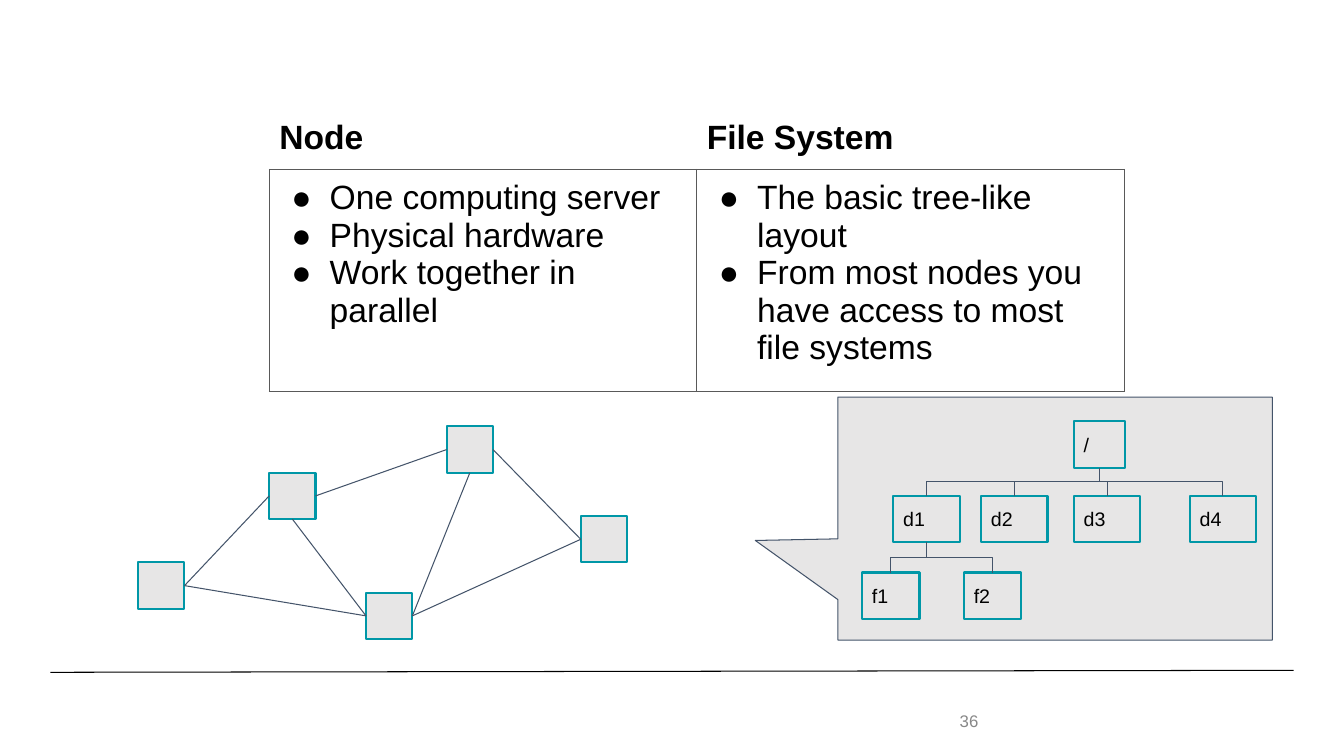
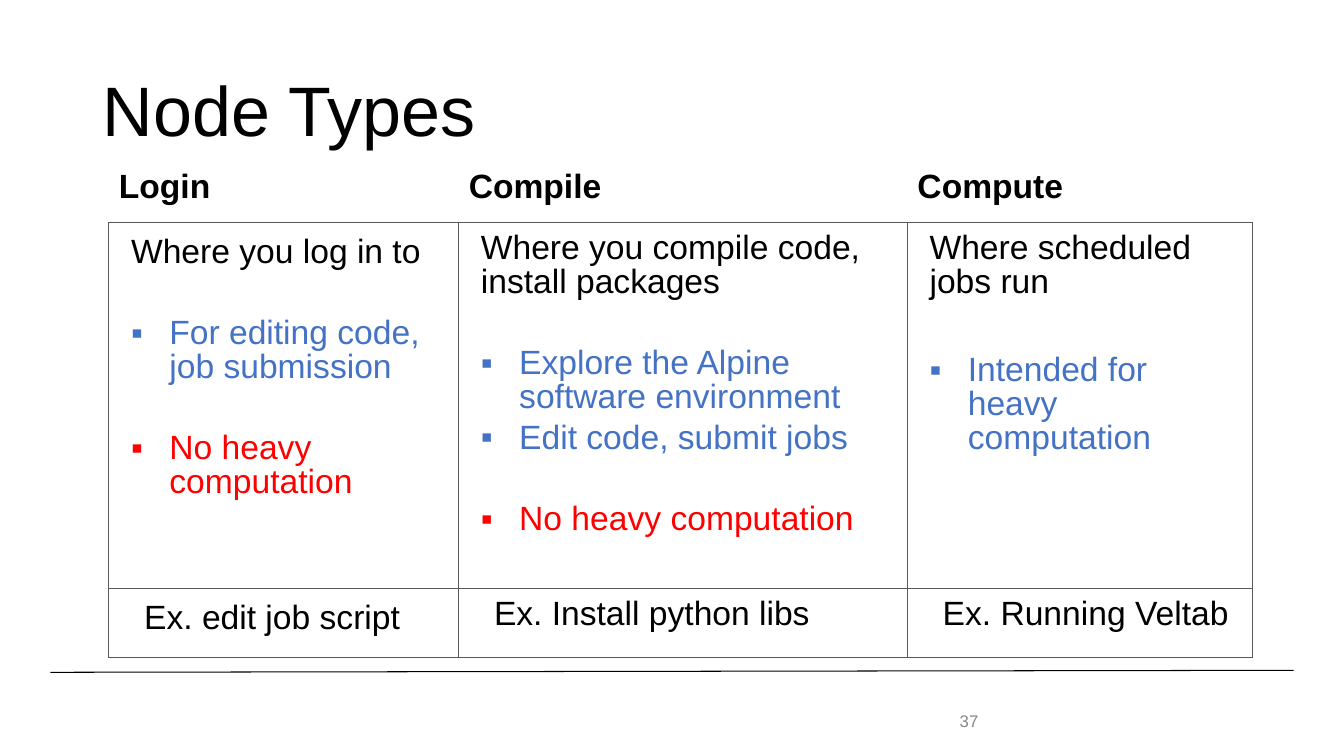
from dataclasses import dataclass
from typing import Optional

from lxml.etree import SubElement
from pptx import Presentation
from pptx.dml.color import RGBColor
from pptx.enum.shapes import MSO_CONNECTOR, MSO_SHAPE
from pptx.enum.text import MSO_ANCHOR, PP_ALIGN
from pptx.oxml.ns import qn
from pptx.util import Inches, Pt

FONT = "Arial"
BLACK = RGBColor(0x00, 0x00, 0x00)
WHITE = RGBColor(0xFF, 0xFF, 0xFF)
GREY = RGBColor(0x88, 0x88, 0x88)
BORDER = RGBColor(0x59, 0x59, 0x59)
PALE = RGBColor(0xE7, 0xE6, 0xE6)
SLATE = RGBColor(0x44, 0x54, 0x6A)
TEAL = RGBColor(0x00, 0x97, 0xA7)
BLUE = RGBColor(0x44, 0x72, 0xC4)
RED = RGBColor(0xFF, 0x00, 0x00)

BOX_H = 0.46
TOP, LEFT, BOTTOM, RIGHT = range(4)


@dataclass(frozen=True)
class Para:
    text: str
    color: RGBColor = BLACK
    bold: bool = False
    bullet: str = ""
    margin: float = 0
    indent: float = 0
    spacing: Optional[float] = None
    before: float = 0


@dataclass(frozen=True)
class Box:
    left: float
    top: float
    width: float = BOX_H
    text: str = ""


@dataclass(frozen=True)
class Link:
    start: int
    start_site: int
    end: int
    end_site: int


def dot(text):
    return Para(text, bullet="●", margin=0.5, indent=-0.38)


def square(text, color, before=34):
    return Para(text, color, bullet="▪", margin=0.5, indent=-0.38, spacing=0.9, before=before)


def lead(text, spacing=None):
    return Para(text, margin=0.12, spacing=spacing)


def example(text, spacing=None):
    return Para(text, margin=0.5, indent=-0.25, spacing=spacing)


def header(*titles):
    return [[Para(title, bold=True)] for title in titles]


NODES = [Box(2.67, 4.69), Box(4.43, 4.23), Box(5.76, 5.12), Box(3.63, 5.88), Box(1.37, 5.58)]
LINKS = [
    Link(4, RIGHT, 0, LEFT),
    Link(4, RIGHT, 3, LEFT),
    Link(0, BOTTOM, 3, LEFT),
    Link(0, RIGHT, 1, LEFT),
    Link(1, BOTTOM, 3, RIGHT),
    Link(1, RIGHT, 2, LEFT),
    Link(3, RIGHT, 2, LEFT),
]

TREE = [
    Box(10.65, 4.18, 0.51, "/"),
    Box(8.86, 4.92, 0.66, "d1"),
    Box(9.73, 4.92, 0.66, "d2"),
    Box(10.65, 4.92, 0.66, "d3"),
    Box(11.8, 4.92, 0.66, "d4"),
    Box(8.55, 5.68, 0.57, "f1"),
    Box(9.56, 5.68, 0.57, "f2"),
]
PARENTS = {1: 0, 2: 0, 3: 0, 4: 0, 5: 1, 6: 1}

NODE_ROWS = [
    header("Node", "File System"),
    [
        [dot("One computing server"), dot("Physical hardware"), dot("Work together in parallel")],
        [
            dot("The basic tree-like layout"),
            dot("From most nodes you have access to most file systems"),
        ],
    ],
]
TYPE_ROWS = [
    header("Login", "Compile", "Compute"),
    [
        [
            lead("Where you log in to"),
            square("For editing code, job submission", BLUE),
            square("No heavy computation", RED),
        ],
        [
            lead("Where you compile code, install packages", 0.9),
            square("Explore the Alpine software environment", BLUE),
            square("Edit code, submit jobs", BLUE, 5),
            square("No heavy computation", RED),
        ],
        [
            lead("Where scheduled jobs run", 0.9),
            square("Intended for heavy computation", BLUE, 39),
        ],
    ],
    [
        [example("Ex. edit job script")],
        [example("Ex. Install python libs", 0.9)],
        [example("Ex. Running Veltab", 0.9)],
    ],
]


def add_run(p, text: str, size: float, color: RGBColor, bold: bool = False) -> None:
    r = p.add_run()
    r.text = text
    r.font.name = FONT
    r.font.size = Pt(size)
    r.font.bold = bold
    r.font.color.rgb = color


def set_margins(tf, side: float, end: float) -> None:
    tf.margin_left = tf.margin_right = Inches(side)
    tf.margin_top = tf.margin_bottom = Inches(end)


def add_text(s, left, top, width, height, text, size, color, spacing=None):
    tf = s.shapes.add_textbox(Inches(left), Inches(top), Inches(width), Inches(height)).text_frame
    tf.word_wrap = True
    tf.vertical_anchor = MSO_ANCHOR.MIDDLE
    set_margins(tf, 0.1, 0.05)
    p = tf.paragraphs[0]
    p.line_spacing = spacing
    add_run(p, text, size, color)


def style_shape(sp, line: RGBColor, weight: float) -> None:
    sp.shadow.inherit = False
    sp.fill.solid()
    sp.fill.fore_color.rgb = PALE
    sp.line.color.rgb = line
    sp.line.width = Pt(weight)


def style_line(c, color: RGBColor) -> None:
    c.line.color.rgb = color
    c.line.width = Pt(0.75)
    SubElement(c._element.spPr, qn("a:effectLst"))


def add_box(s, box: Box):
    sp = s.shapes.add_shape(
        MSO_SHAPE.RECTANGLE, Inches(box.left), Inches(box.top), Inches(box.width), Inches(BOX_H)
    )
    style_shape(sp, TEAL, 1.5)
    if box.text:
        tf = sp.text_frame
        set_margins(tf, 0.1, 0.1)
        tf.vertical_anchor = MSO_ANCHOR.MIDDLE
        p = tf.paragraphs[0]
        p.alignment = PP_ALIGN.LEFT
        add_run(p, box.text, 14, BLACK)
    return sp


def connect(s, kind, start, start_site: int, end, end_site: int):
    c = s.shapes.add_connector(kind, 0, 0, 0, 0)
    c.begin_connect(start, start_site)
    c.end_connect(end, end_site)
    style_line(c, SLATE)
    return c


def add_branch(s, child, parent) -> None:
    c = connect(s, MSO_CONNECTOR.ELBOW, child, TOP, parent, BOTTOM)
    dx, dy = c.width, c.height
    mid_x, mid_y = c.left + dx // 2, c.top + dy // 2
    to_right = c.begin_x > c.end_x
    c.left, c.top = mid_x - dy // 2, mid_y - dx // 2
    c.width, c.height = dy, dx
    xfrm = c._element.spPr.find(qn("a:xfrm"))
    xfrm.attrib.pop("flipV", None)
    xfrm.set("rot", str((90 if to_right else 270) * 60000))


def fill_paragraph(p, para: Para, first: bool) -> None:
    pPr = p._p.get_or_add_pPr()
    pPr.set("marL", str(Inches(para.margin)))
    pPr.set("indent", str(Inches(para.indent)))
    if para.bullet:
        clr = SubElement(pPr, qn("a:buClr"))
        SubElement(clr, qn("a:srgbClr"), val=str(para.color))
        SubElement(pPr, qn("a:buFont"), typeface=FONT)
        SubElement(pPr, qn("a:buChar"), char=para.bullet)
    else:
        SubElement(pPr, qn("a:buNone"))
    if para.spacing:
        p.line_spacing = para.spacing
    if not first:
        p.space_before = Pt(para.before)
    add_run(p, para.text, 24, para.color, para.bold)


def set_borders(cell, is_header: bool) -> None:
    tcPr = cell._tc.get_or_add_tcPr()
    for i, side in enumerate(("lnL", "lnR", "lnT", "lnB")):
        color = WHITE if is_header and side != "lnB" else BORDER
        ln = SubElement(tcPr, qn(f"a:{side}"), w=str(Pt(0.75)))
        fill = SubElement(ln, qn("a:solidFill"))
        SubElement(fill, qn("a:srgbClr"), val=str(color))
        tcPr.insert(i, ln)


def add_grid(s, left: float, top: float, widths, heights, rows) -> None:
    tbl = s.shapes.add_table(
        len(rows), len(widths), Inches(left), Inches(top), Inches(sum(widths)), Inches(sum(heights))
    ).table
    tbl.first_row = tbl.horz_banding = False
    for col, width in zip(tbl.columns, widths):
        col.width = Inches(width)
    for i, (row, height) in enumerate(zip(rows, heights)):
        tbl.rows[i].height = Inches(height)
        for j, paras in enumerate(row):
            cell = tbl.cell(i, j)
            cell.fill.background()
            set_borders(cell, i == 0)
            set_margins(cell, 0.1, 0.1)
            tf = cell.text_frame
            for k, para in enumerate(paras):
                p = tf.paragraphs[0] if k == 0 else tf.add_paragraph()
                fill_paragraph(p, para, k == 0)


def add_slide(prs, number: int, title: str = ""):
    s = prs.slides.add_slide(prs.slide_layouts[6])
    rule = s.shapes.add_connector(
        MSO_CONNECTOR.STRAIGHT, Inches(0.5), Inches(6.67), Inches(12.83), Inches(6.65)
    )
    style_line(rule, BLACK)
    if title:
        add_text(s, 0.92, 0.4, 11.5, 1.45, title, 50, BLACK, 0.9)
    add_text(s, 9.42, 6.95, 0.75, 0.4, str(number), 12, GREY)
    return s


def add_callout(s) -> None:
    sp = s.shapes.add_shape(
        MSO_SHAPE.RECTANGULAR_CALLOUT, Inches(8.31), Inches(3.94), Inches(4.31), Inches(2.41)
    )
    sp.adjustments[0] = -0.69
    sp.adjustments[1] = 0.09
    style_shape(sp, SLATE, 0.75)


def build_node_slide(prs) -> None:
    s = add_slide(prs, 36)
    add_callout(s)
    nodes = [add_box(s, box) for box in NODES]
    for link in LINKS:
        connect(
            s, MSO_CONNECTOR.STRAIGHT,
            nodes[link.start], link.start_site, nodes[link.end], link.end_site,
        )
    tree = [add_box(s, box) for box in TREE]
    for child, parent in PARENTS.items():
        add_branch(s, tree[child], tree[parent])
    add_grid(s, 2.67, 1.08, (4.24, 4.24), (0.57, 2.06), NODE_ROWS)


def build_types_slide(prs) -> None:
    s = add_slide(prs, 37, "Node Types")
    add_grid(s, 1.08, 1.57, (3.47, 4.45, 3.42), (0.64, 3.63, 0.68), TYPE_ROWS)


def main() -> None:
    prs = Presentation()
    prs.slide_width, prs.slide_height = Inches(13.33), Inches(7.5)
    build_node_slide(prs)
    build_types_slide(prs)
    prs.save("out.pptx")


if __name__ == "__main__":
    main()
